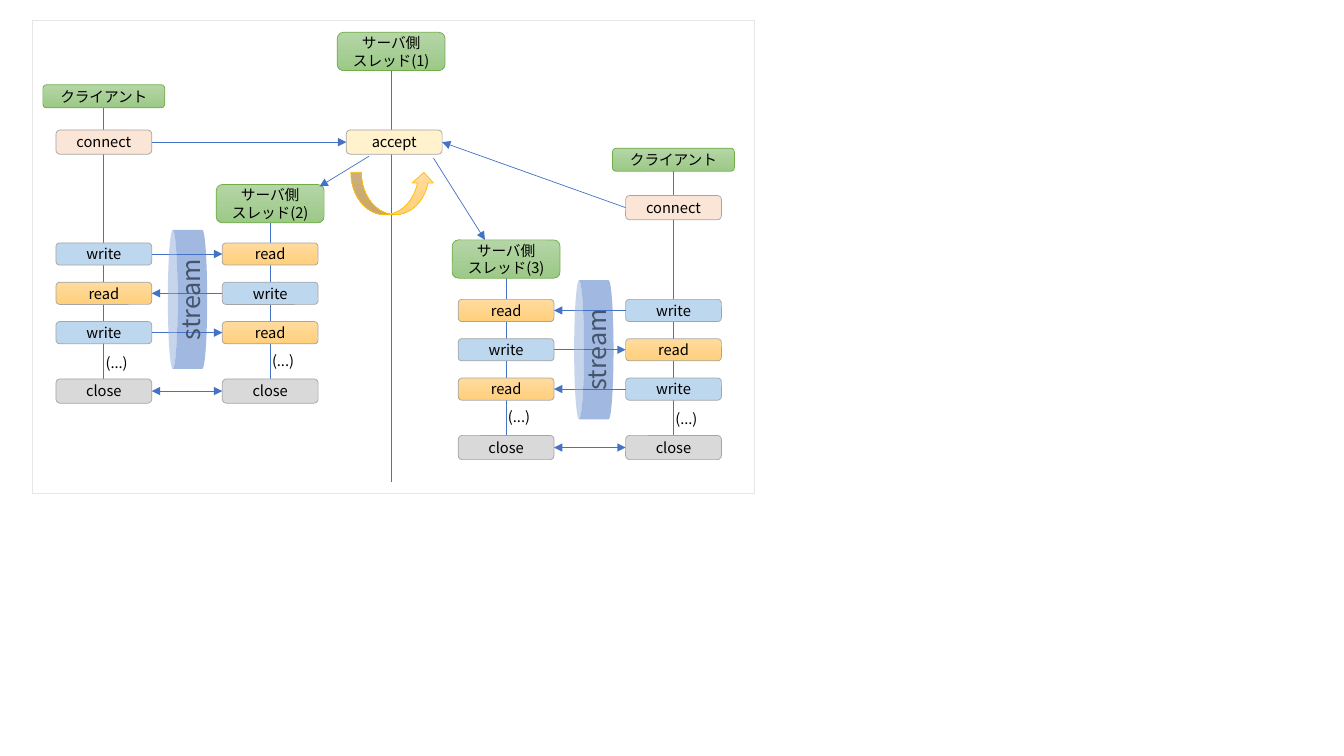
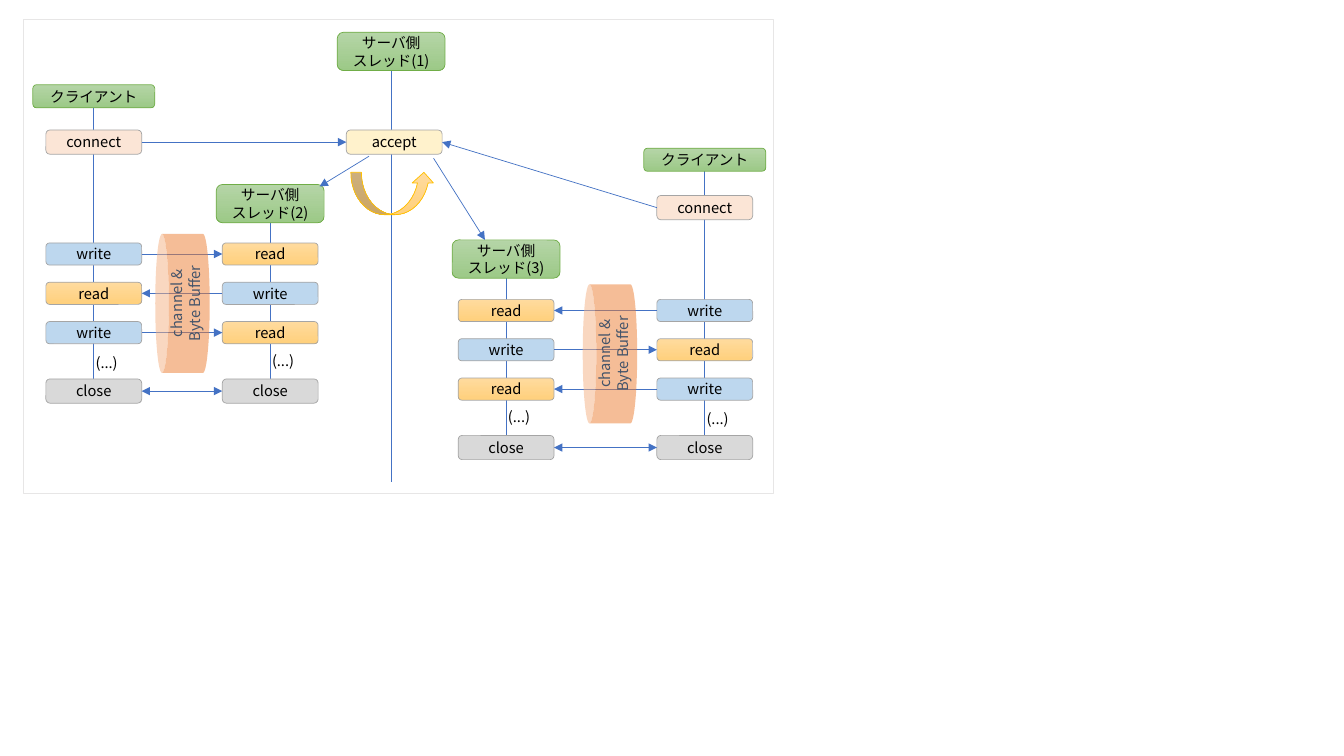
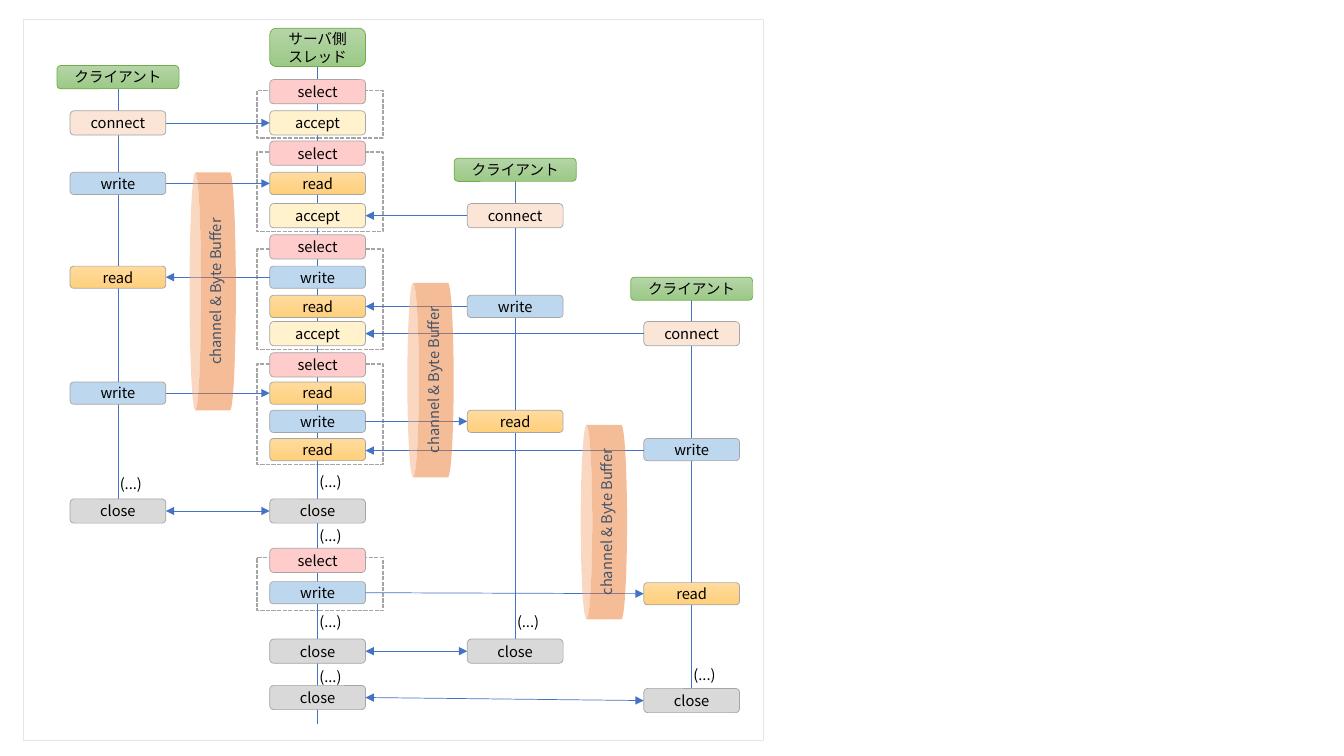
"""Build three sequence diagrams of client and server communication styles."""
from dataclasses import dataclass

from lxml import etree
from pptx import Presentation
from pptx.dml.color import RGBColor
from pptx.enum.dml import MSO_LINE
from pptx.enum.shapes import MSO_CONNECTOR, MSO_SHAPE
from pptx.enum.text import MSO_ANCHOR, MSO_AUTO_SIZE, PP_ALIGN
from pptx.oxml.ns import qn
from pptx.util import Inches, Pt

FONT = "Noto Sans CJK JP"
BLUE, ORANGE, GREY, SLATE = "4472C4", "ED7D31", "A5A5A5", "44546A"
GREEN_FADE, AMBER_FADE = ("B5D5A7", "9CC987"), ("FFDB9E", "FFD07C")
STEP_STYLES = {
    "connect": ("FBE5D6", 0.24),
    "accept": ("FFF2CC", 0.24),
    "select": ("FFCCCC", 0.24),
    "read": (AMBER_FADE, 0.22),
    "write": ("BDD7EE", 0.22),
    "close": ("D9D9D9", 0.24),
}
STEP_WIDTH = 0.95
CLIENT = "クライアント"
CLIENT_WIDTH = 1.21
THREAD = "サーバ側\nスレッド"
ROW_PITCH = 0.39


@dataclass
class Box:
    left: float
    top: float
    width: float
    height: float


@dataclass
class Lane:
    center: float
    head: str
    head_width: float
    head_top: float
    end: float
    steps: list[tuple[str, float]]
    dots: tuple[float, ...] = ()


@dataclass
class Message:
    start: float
    end: float
    y: float
    end_y: float | None = None
    two_way: bool = False


@dataclass
class Pipe:
    center_x: float
    center_y: float
    length: float
    thickness: float
    text: str
    color: str = ORANGE
    size: float = 10.5


@dataclass
class Session:
    client_x: float
    client_top: float
    connect_top: float
    server_x: float
    server_name: str
    server_top: float
    talk_top: float


def rgb(color: str) -> RGBColor:
    return RGBColor.from_string(color)


def write_text(shape, text: str, color: str = "000000", size: float = 10.5, align=PP_ALIGN.CENTER) -> None:
    shape.text_frame.text = text
    for paragraph in shape.text_frame.paragraphs:
        paragraph.alignment = align
        for run in paragraph.runs:
            run.font.name = FONT
            run.font.size = Pt(size)
            run.font.color.rgb = rgb(color)
            etree.SubElement(run.font._element, qn("a:ea"), typeface=FONT)


def add_box(slide, kind, box: Box, fill=None, line: str | None = None, width: float = 0.5):
    shape = slide.shapes.add_shape(
        kind, Inches(box.left), Inches(box.top), Inches(box.width), Inches(box.height))
    shape.shadow.inherit = False
    if fill is None:
        shape.fill.background()
    elif isinstance(fill, tuple):
        shape.fill.gradient()
        shape.fill.gradient_angle = 270
        for stop, color in zip(shape.fill.gradient_stops, fill):
            stop.color.rgb = rgb(color)
    else:
        shape.fill.solid()
        shape.fill.fore_color.rgb = rgb(fill)
    if line is None:
        shape.line.fill.background()
    else:
        shape.line.color.rgb = rgb(line)
        shape.line.width = Pt(width)
    return shape


def add_label(slide, box: Box, text: str, fill, line: str = GREY) -> None:
    shape = add_box(slide, MSO_SHAPE.ROUNDED_RECTANGLE, box, fill, line)
    shape.text_frame.word_wrap = True
    shape.text_frame.vertical_anchor = MSO_ANCHOR.MIDDLE
    write_text(shape, text)


def add_line(slide, x1: float, y1: float, x2: float, y2: float, ends: tuple[str, ...] = ()) -> None:
    line = slide.shapes.add_connector(
        MSO_CONNECTOR.STRAIGHT, Inches(x1), Inches(y1), Inches(x2), Inches(y2))
    line.line.color.rgb = rgb(BLUE)
    line.line.width = Pt(0.5)
    properties = line._element.spPr
    for end in ends:
        etree.SubElement(properties.find(qn("a:ln")), qn(end), type="triangle")
    etree.SubElement(properties, qn("a:effectLst"))


def add_step(slide, center: float, name: str, top: float) -> None:
    fill, height = STEP_STYLES[name]
    add_label(slide, Box(center - STEP_WIDTH / 2, top, STEP_WIDTH, height), name, fill)


def add_dots(slide, left: float, top: float) -> None:
    dots = slide.shapes.add_textbox(Inches(left), Inches(top), Inches(0.43), Inches(0.28))
    dots.text_frame.word_wrap = False
    dots.text_frame.auto_size = MSO_AUTO_SIZE.SHAPE_TO_FIT_TEXT
    write_text(dots, "(...)", align=PP_ALIGN.LEFT)


def add_lane(slide, lane: Lane) -> None:
    height = 0.38 if "\n" in lane.head else 0.23
    add_line(slide, lane.center, lane.head_top + height, lane.center, lane.end)
    head = Box(lane.center - lane.head_width / 2, lane.head_top, lane.head_width, height)
    add_label(slide, head, lane.head, GREEN_FADE, "70AD47")
    for name, top in lane.steps:
        add_step(slide, lane.center, name, top)
    for top in lane.dots:
        add_dots(slide, lane.center - 0.08, top)


def add_message(slide, message: Message) -> None:
    reach = STEP_WIDTH / 2 if message.end > message.start else -STEP_WIDTH / 2
    end_y = message.y if message.end_y is None else message.end_y
    ends = ("a:headEnd", "a:tailEnd") if message.two_way else ("a:tailEnd",)
    add_line(slide, message.start + reach, message.y, message.end - reach, end_y, ends)


def add_pipe(slide, pipe: Pipe) -> None:
    box = Box(pipe.center_x - pipe.length / 2, pipe.center_y - pipe.thickness / 2,
              pipe.length, pipe.thickness)
    can = add_box(slide, MSO_SHAPE.CAN, box, pipe.color)
    can.rotation = 270
    color = can._element.spPr.find(qn("a:solidFill"))[0]
    etree.SubElement(color, qn("a:alpha"), val="50000")
    can.text_frame.word_wrap = True
    can.text_frame.vertical_anchor = MSO_ANCHOR.MIDDLE
    write_text(can, pipe.text, SLATE, pipe.size)


def add_frame(slide, box: Box) -> None:
    add_box(slide, MSO_SHAPE.RECTANGLE, box, line="E7E6E6", width=0.25)


def add_session(slide, session: Session, accept_x: float) -> None:
    top = session.talk_top
    rows = [round(top + ROW_PITCH * i, 2) for i in range(3)]
    close = ("close", top + 1.35)
    client_steps = list(zip(("write", "read", "write"), rows))
    server_steps = list(zip(("read", "write", "read"), rows))
    add_lane(slide, Lane(session.client_x, CLIENT, CLIENT_WIDTH, session.client_top, close[1],
                         [("connect", session.connect_top), *client_steps, close], (top + 1.05,)))
    add_lane(slide, Lane(session.server_x, session.server_name, 1.07, session.server_top, close[1],
                         [*server_steps, close], (top + 1.03,)))
    add_message(slide, Message(session.client_x, accept_x, session.connect_top + 0.12, 1.41))
    for (name, _), row in zip(client_steps, rows):
        ends = (session.client_x, session.server_x)
        start, end = ends if name == "write" else ends[::-1]
        add_message(slide, Message(start, end, row + 0.11))
    add_message(slide, Message(session.server_x, session.client_x, top + 1.47, two_way=True))


def build_threaded(slide, frame: Box, left_x: float, right_x: float, pipes: list[Pipe]) -> None:
    accept_x = 3.91
    add_frame(slide, frame)
    add_lane(slide, Lane(3.88, THREAD + "(1)", 1.07, 0.32, 4.78, []))
    add_step(slide, accept_x, "accept", 1.29)
    for session in (
        Session(left_x, 0.84, 1.29, 2.68, THREAD + "(2)", 1.83, 2.41),
        Session(right_x, 1.47, 1.94, 5.02, THREAD + "(3)", 2.38, 2.97),
    ):
        add_session(slide, session, accept_x)
    add_line(slide, 3.66, 1.55, 3.17, 1.85, ("a:tailEnd",))
    add_line(slide, 4.3, 1.57, 4.81, 2.38, ("a:tailEnd",))
    add_box(slide, MSO_SHAPE.CURVED_UP_ARROW, Box(3.48, 1.71, 0.83, 0.42), AMBER_FADE, "FFC000")
    for pipe in pipes:
        add_pipe(slide, pipe)


def build_selector(slide) -> None:
    first, server, second, third = 1.17, 3.15, 5.11, 6.86
    for top, height in ((5.53, 0.53), (3.61, 1), (2.47, 1), (1.51, 0.79), (0.9, 0.47)):
        group = add_box(slide, MSO_SHAPE.RECTANGLE, Box(2.55, top, 1.25, height), line=GREY, width=1)
        group.line.dash_style = MSO_LINE.SQUARE_DOT
    lanes = [
        Lane(first, CLIENT, CLIENT_WIDTH, 0.65, 4.95,
             [("connect", 1.1), ("write", 1.71), ("read", 2.64), ("write", 3.79), ("close", 4.95)],
             (4.66,)),
        Lane(server, THREAD, STEP_WIDTH, 0.28, 7.18,
             [("select", 0.79), ("accept", 1.1),
              ("select", 1.4), ("read", 1.71), ("accept", 2.02),
              ("select", 2.33), ("write", 2.64), ("read", 2.93), ("accept", 3.19),
              ("select", 3.5), ("read", 3.79), ("write", 4.07), ("read", 4.35),
              ("close", 4.95), ("select", 5.44), ("write", 5.77), ("close", 6.34), ("close", 6.8)],
             (4.64, 5.18, 6.03, 6.58)),
        Lane(second, CLIENT, CLIENT_WIDTH, 1.57, 6.34,
             [("connect", 2.02), ("write", 2.93), ("read", 4.07), ("close", 6.34)], (6.03,)),
        Lane(third, CLIENT, CLIENT_WIDTH, 2.75, 6.83,
             [("connect", 3.19), ("write", 4.35), ("read", 5.78), ("close", 6.83)], (6.56,)),
    ]
    messages = [
        Message(first, server, 1.22),
        Message(first, server, 1.82),
        Message(server, first, 2.75),
        Message(first, server, 3.9),
        Message(server, first, 5.07, two_way=True),
        Message(second, server, 2.14),
        Message(second, server, 3.04),
        Message(server, second, 4.18),
        Message(second, server, 6.46, two_way=True),
        Message(third, server, 3.31),
        Message(third, server, 4.47),
        Message(server, third, 5.88, 5.89),
        Message(third, server, 6.95, 6.92, two_way=True),
    ]
    for lane in lanes:
        add_lane(slide, lane)
    for message in messages:
        add_message(slide, message)
    for x, y, length in ((2.11, 2.89, 2.36), (4.27, 3.77, 1.93), (5.99, 5.18, 1.93)):
        add_pipe(slide, Pipe(x, y, length, 0.46, "channel & Byte Buffer"))
    add_frame(slide, Box(0.23, 0.19, 7.34, 7.15))


def main() -> None:
    deck = Presentation()
    deck.slide_width, deck.slide_height = Inches(13.33), Inches(7.5)
    blank = deck.slide_layouts[6]
    build_threaded(
        deck.slides.add_slide(blank), Box(0.32, 0.2, 7.16, 4.69), 1.03, 6.68,
        [Pipe(x, y, 1.38, 0.39, "stream", BLUE, 18) for x, y in ((1.86, 2.97), (5.89, 3.47))])
    build_threaded(
        deck.slides.add_slide(blank), Box(0.23, 0.19, 7.44, 4.7), 0.93, 6.99,
        [Pipe(x, y, 1.38, 0.54, "channel &\nByte Buffer") for x, y in ((1.81, 3.01), (6.05, 3.51))])
    build_selector(deck.slides.add_slide(blank))
    deck.save("out.pptx")


main()
